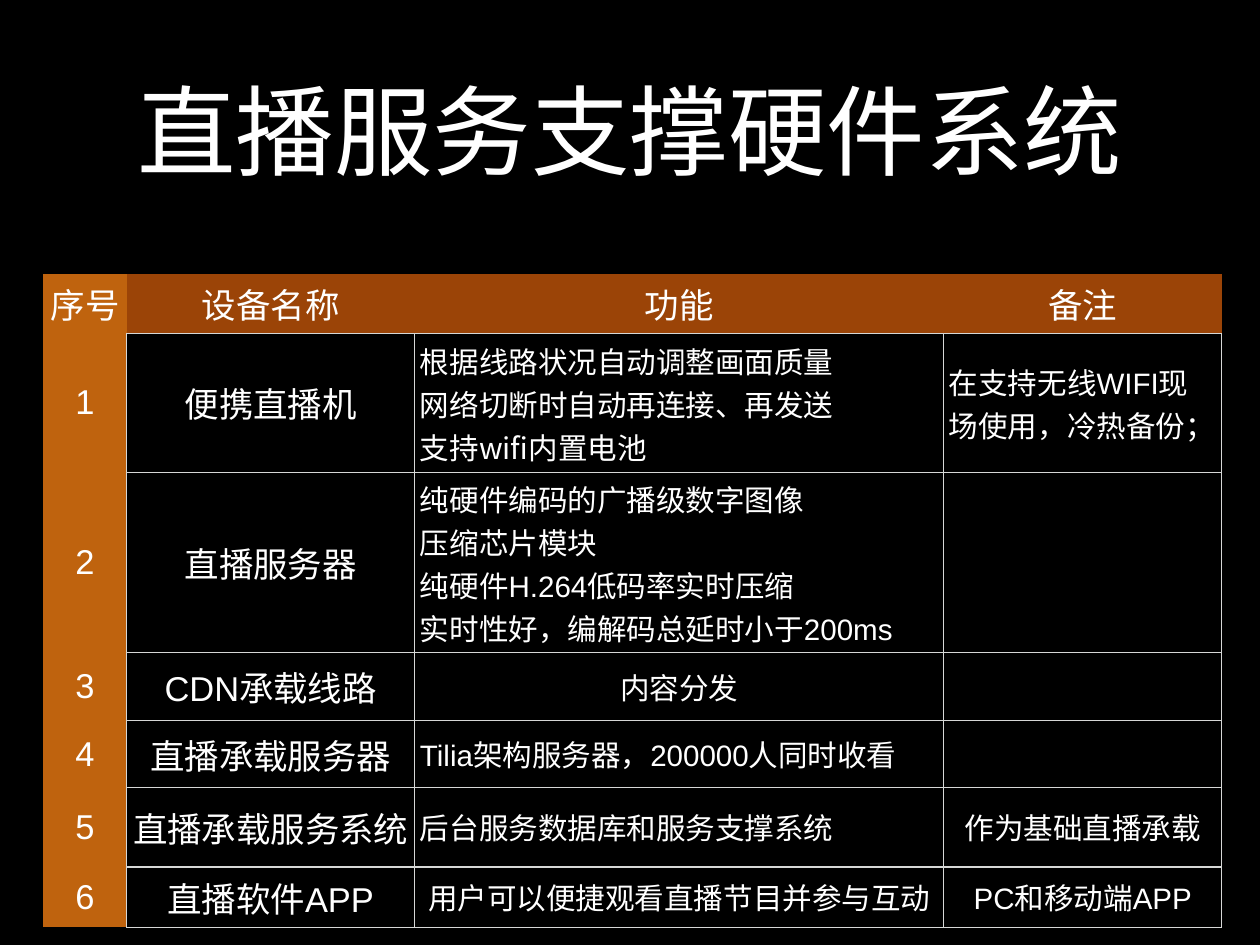
from lxml.etree import SubElement
from pptx import Presentation
from pptx.dml.color import RGBColor
from pptx.enum.text import MSO_ANCHOR, PP_ALIGN
from pptx.oxml import parse_xml
from pptx.oxml.ns import nsdecls, qn
from pptx.util import Inches, Pt

# Content
TITLE = "直播服务支撑硬件系统"
ROWS = [
    ("序号", "设备名称", "功能", "备注"),
    ("1", "便携直播机",
     "根据线路状况自动调整画面质量\n网络切断时自动再连接、再发送\n支持wifi内置电池",
     "在支持无线WIFI现场使用，冷热备份；"),
    ("2", "直播服务器",
     "纯硬件编码的广播级数字图像\v压缩芯片模块\v"
     "纯硬件H.264低码率实时压缩\v实时性好，编解码总延时小于200ms", ""),
    ("3", "CDN承载线路", "内容分发", ""),
    ("4", "直播承载服务器", "Tilia架构服务器，200000人同时收看", ""),
    ("5", "直播承载服务系统", "后台服务数据库和服务支撑系统", "作为基础直播承载"),
    ("6", "直播软件APP", "用户可以便捷观看直播节目并参与互动", "PC和移动端APP"),
]
LEFT_ALIGNED = {(1, 2), (1, 3), (2, 2), (4, 2), (5, 2)}
NOTO_LINES = {"网络切断时自动再连接、再发送", "支持wifi内置电池"}

# Style
BLACK = RGBColor(0x00, 0x00, 0x00)
WHITE = RGBColor(0xFF, 0xFF, 0xFF)
HEADER_BROWN = RGBColor(0x9B, 0x44, 0x07)
NUMBER_ORANGE = RGBColor(0xBF, 0x63, 0x0E)
BORDER_GREY = RGBColor(0xD6, 0xD7, 0xD6)
LATIN_FONT, CJK_FONT = "Arial", "Noto Sans CJK SC"
PLAIN_TABLE_STYLE = "{2D5ABB26-0587-4C30-8999-92F81FD0307C}"

# Grid, in inches
SLIDE_WIDTH, SLIDE_HEIGHT = 14.22, 10.67
TABLE_LEFT, TABLE_TOP = 0.49, 3.09
COLUMN_WIDTHS = [0.94, 3.25, 5.97, 3.14]
ROW_HEIGHTS = [0.68, 1.56, 2.04, 0.77, 0.75, 0.9, 0.68]
CELL_MARGIN = 0.06


def style_paragraph(paragraph, size, alignment):
    paragraph.alignment = alignment
    for run in paragraph.runs:
        font = run.font
        font.size = Pt(size)
        font.color.rgb = WHITE
        font.name = CJK_FONT if run.text in NOTO_LINES else LATIN_FONT
        SubElement(run._r.get_or_add_rPr(), qn("a:ea"), typeface=CJK_FONT)


def set_margins(target, margin):
    target.margin_left = target.margin_right = Inches(margin)
    target.margin_top = target.margin_bottom = Inches(margin)


def add_borders(cell):
    properties = cell._tc.get_or_add_tcPr()
    for position, side in enumerate("LRTB"):
        properties.insert(position, parse_xml(
            f'<a:ln{side} {nsdecls("a")} w="{Pt(1)}"><a:solidFill>'
            f'<a:srgbClr val="{BORDER_GREY}"/></a:solidFill></a:ln{side}>'))


def add_title(slide):
    box = slide.shapes.add_textbox(Inches(1.04), Inches(0.28), Inches(12.14), Inches(2.36))
    frame = box.text_frame
    frame.word_wrap = True
    frame.vertical_anchor = MSO_ANCHOR.MIDDLE
    set_margins(frame, 0)
    frame.text = TITLE
    style_paragraph(frame.paragraphs[0], 80, PP_ALIGN.CENTER)


def fill_cell(cell, row, column):
    cell.text = ROWS[row][column]
    cell.vertical_anchor = MSO_ANCHOR.MIDDLE
    set_margins(cell, CELL_MARGIN)
    size = 24 if row > 0 and column >= 2 else 28
    alignment = PP_ALIGN.LEFT if (row, column) in LEFT_ALIGNED else PP_ALIGN.CENTER
    for paragraph in cell.text_frame.paragraphs:
        style_paragraph(paragraph, size, alignment)
    if row == 0 or column == 0:
        cell.fill.solid()
        cell.fill.fore_color.rgb = NUMBER_ORANGE if column == 0 else HEADER_BROWN
    else:
        cell.fill.background()
        add_borders(cell)


def add_equipment_table(slide):
    table = slide.shapes.add_table(
        len(ROWS), len(COLUMN_WIDTHS), Inches(TABLE_LEFT), Inches(TABLE_TOP),
        Inches(sum(COLUMN_WIDTHS)), Inches(sum(ROW_HEIGHTS))).table
    table.horz_banding = False
    table._tbl.tblPr.find(qn("a:tableStyleId")).text = PLAIN_TABLE_STYLE
    for column, width in zip(table.columns, COLUMN_WIDTHS):
        column.width = Inches(width)
    for row, height in zip(table.rows, ROW_HEIGHTS):
        row.height = Inches(height)
    for row in range(len(ROWS)):
        for column in range(len(COLUMN_WIDTHS)):
            fill_cell(table.cell(row, column), row, column)


def main():
    presentation = Presentation()
    presentation.slide_width = Inches(SLIDE_WIDTH)
    presentation.slide_height = Inches(SLIDE_HEIGHT)
    slide = presentation.slides.add_slide(presentation.slide_layouts[6])
    slide.background.fill.solid()
    slide.background.fill.fore_color.rgb = BLACK
    add_title(slide)
    add_equipment_table(slide)
    presentation.save("out.pptx")


if __name__ == "__main__":
    main()
